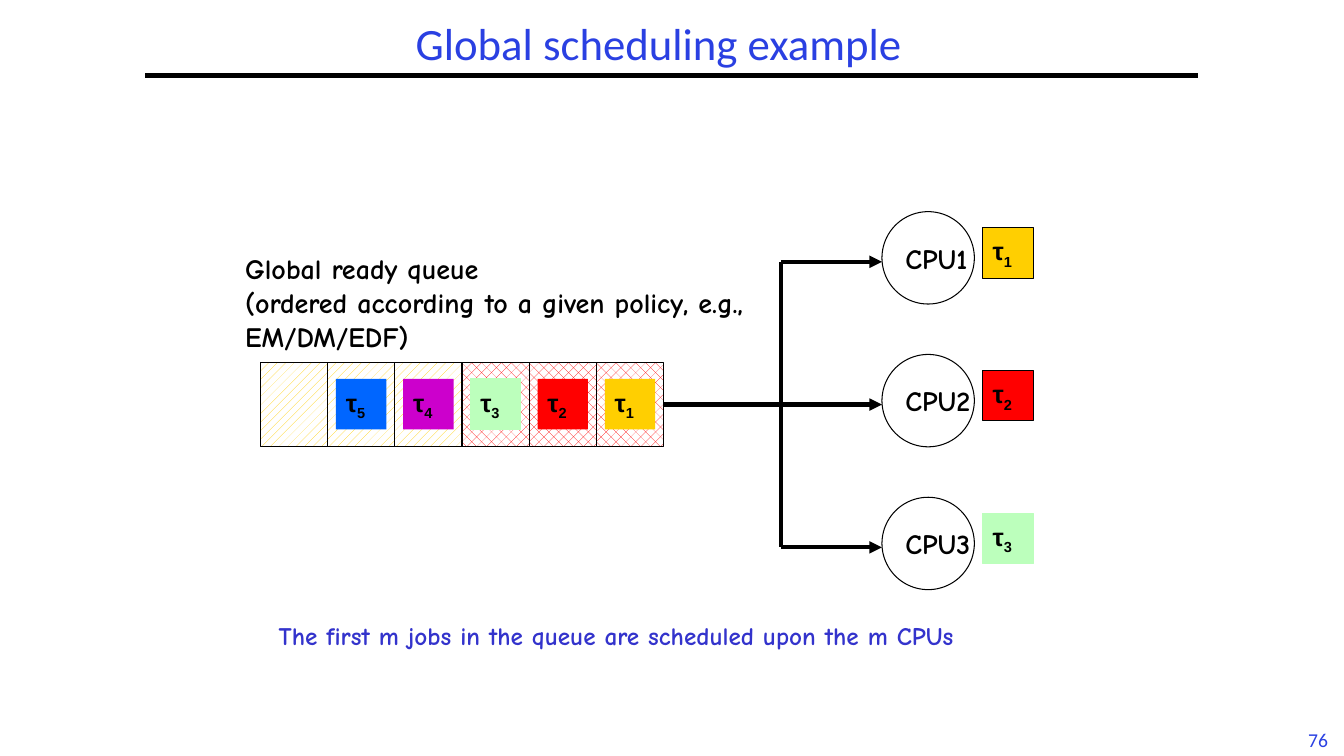
from lxml import etree
from pptx import Presentation
from pptx.dml.color import RGBColor
from pptx.enum.dml import MSO_PATTERN
from pptx.enum.shapes import MSO_CONNECTOR, MSO_SHAPE
from pptx.enum.text import MSO_ANCHOR, PP_ALIGN
from pptx.oxml.ns import qn
from pptx.util import Pt

RECTANGLE, OVAL = MSO_SHAPE.RECTANGLE, MSO_SHAPE.OVAL
STRAIGHT = MSO_CONNECTOR.STRAIGHT
LEFT, CENTER = PP_ALIGN.LEFT, PP_ALIGN.CENTER
TOP, MIDDLE = MSO_ANCHOR.TOP, MSO_ANCHOR.MIDDLE
SPARSE, DENSE = MSO_PATTERN.PERCENT_20, MSO_PATTERN.PERCENT_30

BLACK = RGBColor(0x00, 0x00, 0x00)
WHITE = RGBColor(0xFF, 0xFF, 0xFF)
HEADING_BLUE = RGBColor(0x2A, 0x40, 0xE2)
NOTE_BLUE = RGBColor(0x33, 0x33, 0xCC)
YELLOW = RGBColor(0xFF, 0xCF, 0x01)
RED = RGBColor(0xFF, 0x00, 0x00)
GREEN = RGBColor(0xBC, 0xFF, 0xBC)
PURPLE = RGBColor(0xCC, 0x00, 0xCC)
BLUE = RGBColor(0x00, 0x66, 0xFF)

TASK_COLORS = {1: YELLOW, 2: RED, 3: GREEN, 4: PURPLE, 5: BLUE}
HEADING = {"name": "Calibri", "size": Pt(32), "color": HEADING_BLUE}
PAGE_NUMBER = {**HEADING, "size": Pt(14)}
LABEL = {"name": "Comic Neue", "size": Pt(20), "bold": True, "color": BLACK}
NOTE = {**LABEL, "size": Pt(18), "color": NOTE_BLUE}
TASK = {"name": "Arial", "size": Pt(18), "bold": True, "color": BLACK}


class SchedulingSlide:
    def __init__(self, slide):
        self.shapes = slide.shapes

    def format_font(self, font, style):
        for name, value in style.items():
            if name == "color":
                font.color.rgb = value
            else:
                setattr(font, name, value)

    def fill_text(self, shape, lines, style, align=LEFT, anchor=MIDDLE, wrap=False):
        frame = shape.text_frame
        frame.word_wrap = wrap
        frame.vertical_anchor = anchor
        frame.text = "\n".join(lines)
        for paragraph in frame.paragraphs:
            paragraph.alignment = align
            self.format_font(paragraph.runs[0].font, style)
        return frame

    def text(self, left, top, width, height, lines, style, **layout):
        box = self.shapes.add_textbox(Pt(left), Pt(top), Pt(width), Pt(height))
        return self.fill_text(box, lines, style, wrap=True, **layout)

    def shape(self, kind, left, top, width, height, color, border=BLACK, pattern=None):
        shape = self.shapes.add_shape(kind, Pt(left), Pt(top), Pt(width), Pt(height))
        shape.shadow.inherit = False
        if pattern is None:
            shape.fill.solid()
            shape.fill.fore_color.rgb = color
        else:
            shape.fill.patterned()
            shape.fill.pattern = pattern
            shape.fill.fore_color.rgb = color
            shape.fill.back_color.rgb = WHITE
        if border is None:
            shape.line.fill.background()
        else:
            shape.line.color.rgb = border
            shape.line.width = Pt(0.75)
        return shape

    def task(self, number, left, top, border=None):
        color = TASK_COLORS[number]
        square = self.shape(RECTANGLE, left, top, 36, 36, color, border)
        frame = self.fill_text(square, ["τ"], TASK)
        subscript = frame.paragraphs[0].add_run()
        subscript.text = str(number)
        self.format_font(subscript.font, TASK)
        subscript._r.get_or_add_rPr().set("baseline", "-25000")

    def cpu(self, number, left, top):
        circle = self.shape(OVAL, left, top, 66, 66, WHITE)
        self.fill_text(circle, [f"CPU{number}"], LABEL)

    def line(self, x1, y1, x2, y2, arrow=False):
        connector = self.shapes.add_connector(STRAIGHT, Pt(x1), Pt(y1), Pt(x2), Pt(y2))
        connector.line.color.rgb = BLACK
        connector.line.width = Pt(3)
        properties = connector._element.spPr
        if arrow:
            outline = properties.find(qn("a:ln"))
            etree.SubElement(outline, qn("a:tailEnd"), type="triangle")
        etree.SubElement(properties, qn("a:effectLst"))


def main():
    presentation = Presentation()
    presentation.slide_width, presentation.slide_height = Pt(960), Pt(540)
    slide = presentation.slides.add_slide(presentation.slide_layouts[6])
    drawing = SchedulingSlide(slide)

    drawing.text(926, 516.2, 31, 24, ["76"], PAGE_NUMBER, align=CENTER, anchor=TOP)
    drawing.line(103.7, 54, 856, 54)
    title = drawing.text(185.8, -12.2, 569.5, 90, ["Global scheduling example"],
                         HEADING, align=CENTER)
    title.paragraphs[0].line_spacing = 0.9

    queue_left, queue_top, cell_width, cell_count = 186, 259.2, 48, 6
    queue_right = queue_left + cell_count * cell_width
    trunk, cpu_left, pitch = 558, 630, 102
    arrow_heights = [187 + pitch * index for index in range(3)]

    for index, height in enumerate(arrow_heights):
        number = index + 1
        drawing.cpu(number, cpu_left, 151.2 + pitch * index)
        border = GREEN if number == 3 else BLACK
        drawing.task(number, 702, 162.7 + pitch * index, border)
        start = queue_right if number == 2 else trunk
        drawing.line(start, height, cpu_left, height, arrow=True)
    drawing.line(trunk, arrow_heights[0], trunk, arrow_heights[-1])

    drawing.text(168, 176.4, 372, 80, [
        "Global ready queue",
        "(ordered according to a given policy, e.g., EM/DM/EDF)",
    ], LABEL, anchor=TOP)
    drawing.text(192, 439.2, 576, 29, [
        "The first m jobs in the queue are scheduled upon the m CPUs",
    ], NOTE, anchor=TOP)

    for index in range(cell_count):
        number = cell_count - index
        left = queue_left + cell_width * index
        color, pattern = (RED, DENSE) if number <= 3 else (YELLOW, SPARSE)
        drawing.shape(RECTANGLE, left, queue_top, cell_width, 60, color, pattern=pattern)
        if number in TASK_COLORS:
            border = GREEN if number == 3 else None
            drawing.task(number, left + 6, queue_top + 11.5, border)

    presentation.save("out.pptx")


if __name__ == "__main__":
    main()
